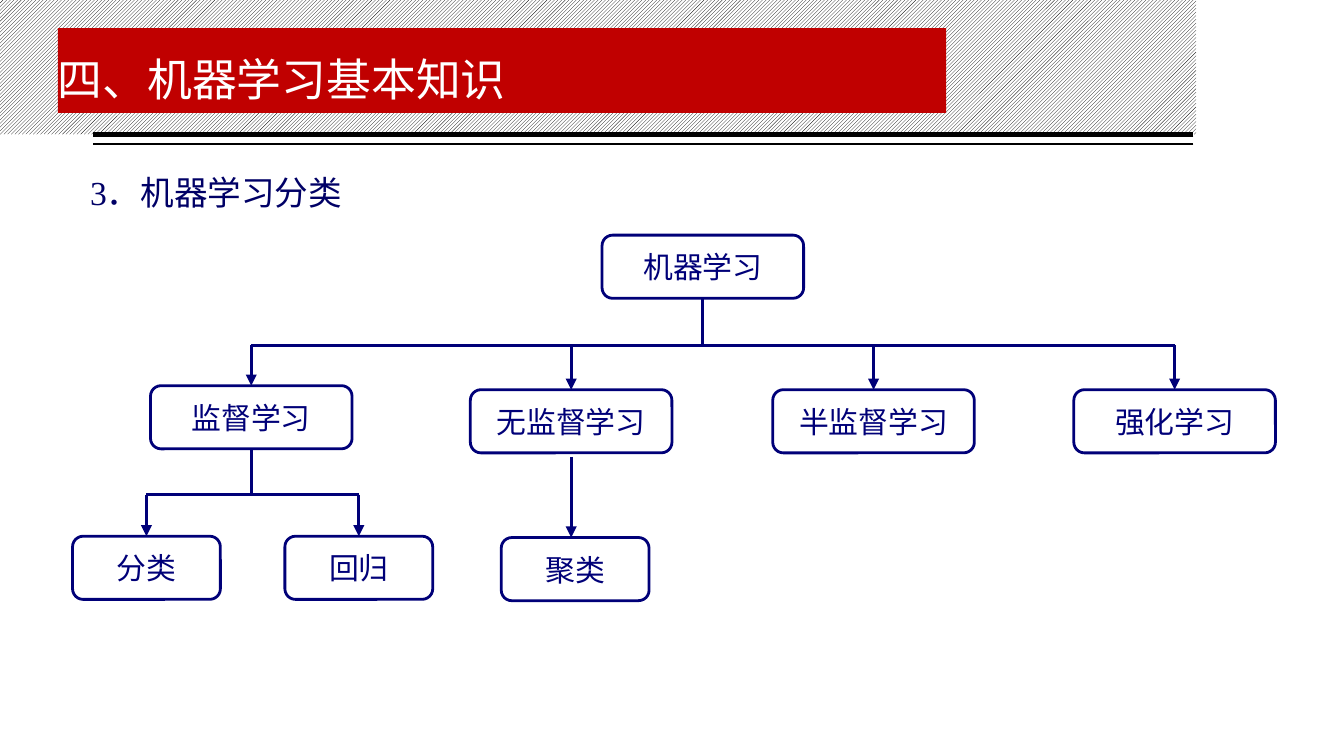
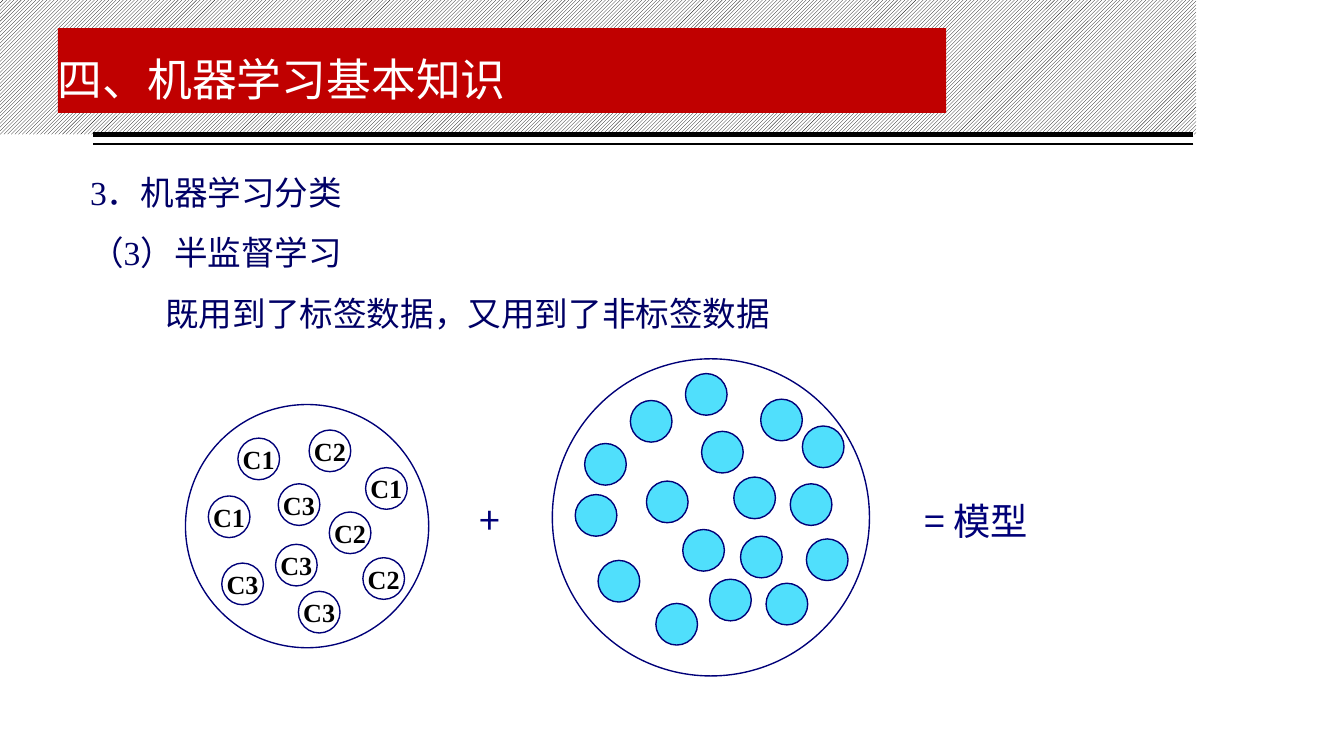
from pptx import Presentation
from pptx.dml.color import RGBColor as RGB
from pptx.enum.dml import MSO_PATTERN as PAT
from pptx.enum.shapes import MSO_CONNECTOR as CON, MSO_SHAPE as GEO
from pptx.enum.text import MSO_ANCHOR as ANC, MSO_AUTO_SIZE as AUTO, PP_ALIGN as ALN
from pptx.oxml.ns import qn
from pptx.util import Inches as In, Pt
from lxml.etree import SubElement as Sub

BLACK = RGB(0x00, 0x00, 0x00)
WHITE = RGB(0xFF, 0xFF, 0xFF)
RED = RGB(0xC0, 0x00, 0x00)
NAVY = RGB(0x00, 0x00, 0x78)
INK = RGB(0x00, 0x00, 0x66)
CYAN = RGB(0x50, 0xDF, 0xFC)

HAN = "Noto Sans CJK SC"
TIMES = "Times New Roman"

TITLE = dict(name=HAN, size=Pt(24), color=WHITE)
BODY = dict(name=TIMES, size=Pt(18), color=INK)
NODE = dict(name=TIMES, size=Pt(16), color=NAVY)
TAG = dict(name=TIMES, size=Pt(14), color=BLACK, bold=True)
SIGN = dict(name=HAN, size=Pt(20), color=NAVY)

FLUSH = dict(margin_left=0, margin_right=0, margin_top=In(0.05),
             margin_bottom=In(0.05), word_wrap=True)
MID = dict(vertical_anchor=ANC.MIDDLE, word_wrap=False)
GROW = dict(word_wrap=True, auto_size=AUTO.SHAPE_TO_FIT_TEXT)

HEAD = "四、机器学习基本知识"
TOPIC = "3．机器学习分类"
WIDE = In(10)
NODE_H = 0.47
DOT = 0.31

TAGS = [
    ("C1", 1.77, 3.26), ("C2", 2.3, 3.2), ("C2", 2.45, 3.81), ("C3", 2.05, 4.05),
    ("C1", 1.55, 3.69), ("C3", 2.07, 3.6), ("C1", 2.72, 3.48), ("C3", 1.65, 4.19),
    ("C2", 2.7, 4.15), ("C3", 2.22, 4.4),
]
DOTS = [
    (4.69, 2.98), (5.1, 2.78), (5.66, 2.97), (5.88, 3.6), (6, 4.01), (5.7, 4.34),
    (5.08, 3.94), (4.88, 4.49), (4.28, 3.68), (4.81, 3.58), (5.22, 3.21),
    (4.45, 4.17), (4.35, 3.3), (5.97, 3.17), (5.46, 3.55), (5.51, 3.99), (5.28, 4.31),
]


def apply(target, form):
    for key, value in form.items():
        setattr(target, key, value)


def write(shape, lines, font, frame, **para):
    text = shape.text_frame
    apply(text, frame)
    for i, line in enumerate(lines):
        p = text.paragraphs[0] if i == 0 else text.add_paragraph()
        apply(p, para)
        run = p.add_run()
        run.text = line
        form = dict(font)
        run.font.color.rgb = form.pop("color")
        apply(run.font, form)
        Sub(run.font._element, qn("a:ea")).set("typeface", HAN)


def add_box(slide, geo, x, y, w, h, fill=None, line=None, width=0.75):
    shape = slide.shapes.add_shape(geo, In(x), In(y), In(w), In(h))
    shape.shadow.inherit = False
    if fill is None:
        shape.fill.background()
    else:
        shape.fill.solid()
        shape.fill.fore_color.rgb = fill
    if line is None:
        shape.line.fill.background()
    else:
        shape.line.color.rgb = line
        shape.line.width = Pt(width)
    return shape


def add_line(slide, x1, y1, x2, y2, color=NAVY, width=1.5, arrow=False):
    link = slide.shapes.add_connector(CON.STRAIGHT, In(x1), In(y1), In(x2), In(y2))
    link.line.color.rgb = color
    link.line.width = Pt(width)
    if arrow:
        Sub(link.line._get_or_add_ln(), qn("a:tailEnd")).set("type", "triangle")
    Sub(link._element.spPr, qn("a:effectLst"))
    return link


def add_text(slide, lines, x, y, w, h, font, frame, **para):
    box = slide.shapes.add_textbox(In(x), In(y), In(w), In(h))
    write(box, lines, font, frame, **para)
    return box


def add_page(deck, lines, depth):
    slide = deck.slides.add_slide(deck.slide_layouts[6])
    band = add_box(slide, GEO.RECTANGLE, 0, 0, 8.9, 1)
    band.fill.patterned()
    band.fill.pattern = PAT.LIGHT_UPWARD_DIAGONAL
    band.fill.fore_color.rgb = BLACK
    band.fill.back_color.rgb = WHITE
    for y, width in ((1, 3), (1.07, 1)):
        add_line(slide, 8.88, y, 0.69, y, BLACK, width)
    body = add_text(slide, lines, 0.67, 1.08, 6.85, depth, BODY, FLUSH, line_spacing=1.5)
    title = add_box(slide, GEO.RECTANGLE, 0.43, 0.21, 6.61, 0.63, RED)
    write(title, [HEAD], TITLE, dict(FLUSH, vertical_anchor=ANC.BOTTOM),
          line_spacing=0.9, alignment=ALN.LEFT)
    return slide, body


def add_node(slide, text, x, y, w=1.5):
    node = add_box(slide, GEO.ROUNDED_RECTANGLE, x, y, w, NODE_H, line=NAVY, width=1.5)
    write(node, [text], NODE, MID, alignment=ALN.CENTER)
    return node


def mid_x(node):
    return (node.left + node.width / 2) / In(1)


def fork(slide, top, kids, y):
    x = mid_x(top)
    add_line(slide, x, y, x, y).begin_connect(top, 2)
    add_line(slide, mid_x(kids[0]), y, mid_x(kids[-1]), y)
    for kid in kids:
        x = mid_x(kid)
        add_line(slide, x, y, x, y, arrow=True).end_connect(kid, 0)


def add_disc(slide, x, y, size, fill=None):
    return add_box(slide, GEO.FLOWCHART_CONNECTOR, x, y, size, size, fill, NAVY)


def draw_tree(deck):
    slide, _ = add_page(deck, [TOPIC], 0.79)
    root = add_node(slide, "机器学习", 4.48, 1.75)
    kinds = [add_node(slide, *spec) for spec in (
        ("监督学习", 1.12, 2.87), ("无监督学习", 3.5, 2.9),
        ("半监督学习", 5.75, 2.9), ("强化学习", 7.99, 2.9))]
    tasks = [add_node(slide, text, x, 3.99, 1.1)
             for text, x in (("分类", 0.54), ("回归", 2.12))]
    add_node(slide, "聚类", 3.73, 4, 1.1)
    fork(slide, root, kinds, 2.57)
    fork(slide, kinds[0], tasks, 3.68)
    x = mid_x(kinds[1])
    add_line(slide, x, 3.4, x, 4, arrow=True)


def draw_sum(deck):
    lines = [TOPIC, "（3）半监督学习", "既用到了标签数据，又用到了非标签数据"]
    slide, body = add_page(deck, lines, 1.5)
    last = body.text_frame.paragraphs[-1]
    last._p.get_or_add_pPr().set("indent", str(In(0.56)))
    add_disc(slide, 1.38, 3.01, 1.81)
    add_disc(slide, 4.11, 2.67, 2.36)
    for text, x, y in TAGS:
        write(add_disc(slide, x, y, DOT), [text], TAG, MID, alignment=ALN.CENTER)
    for x, y in DOTS:
        add_disc(slide, x, y, DOT, CYAN)
    add_text(slide, ["+"], 3.47, 3.65, 0.29, 0.44, SIGN, GROW)
    add_text(slide, ["= 模型"], 6.78, 3.66, 1.85, 0.44, SIGN, GROW)


def main():
    deck = Presentation()
    deck.slide_width, deck.slide_height = WIDE, WIDE * 9 // 16
    draw_tree(deck)
    draw_sum(deck)
    deck.save("out.pptx")


if __name__ == "__main__":
    main()
